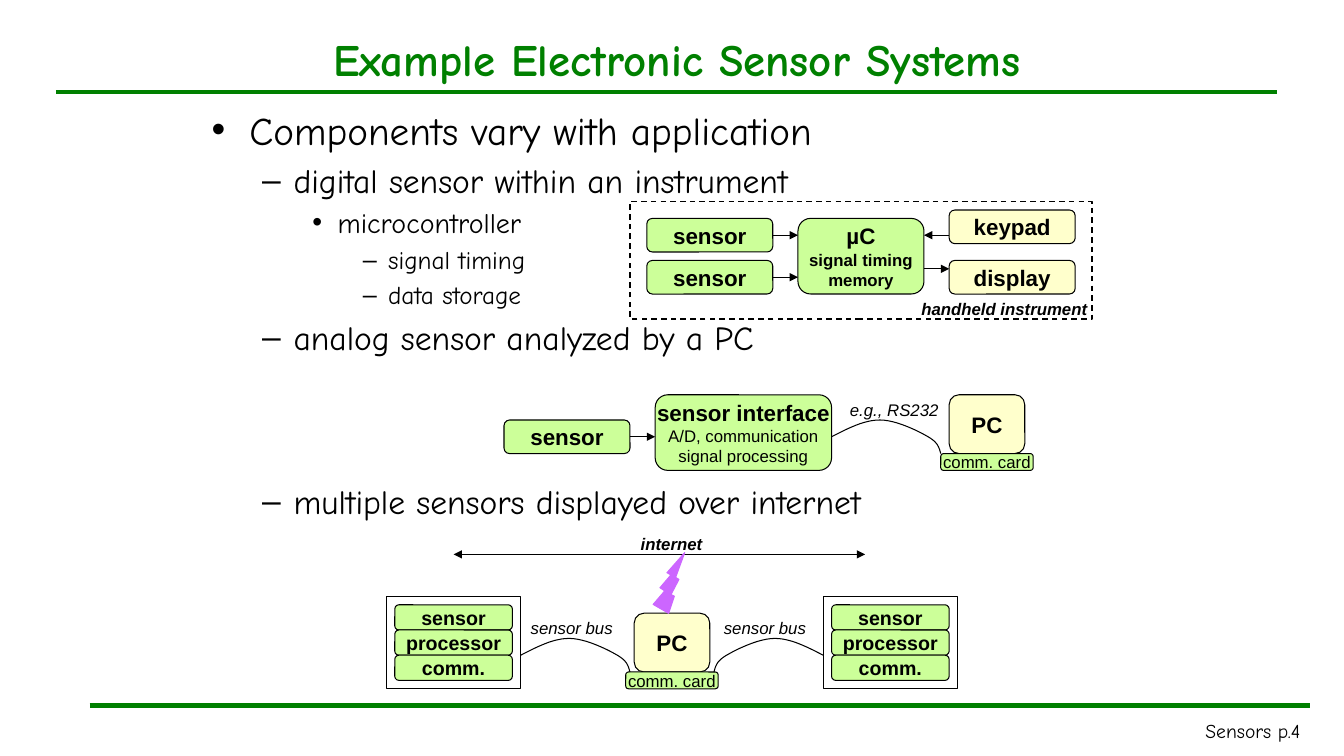
from lxml import etree
from pptx import Presentation
from pptx.dml.color import RGBColor
from pptx.enum.dml import MSO_LINE
from pptx.enum.shapes import MSO_CONNECTOR, MSO_SHAPE as Kind
from pptx.enum.text import MSO_ANCHOR as Anchor, MSO_AUTO_SIZE as Auto, PP_ALIGN as Align
from pptx.oxml.ns import qn
from pptx.util import Cm, Pt

HAND, SANS = "Comic Neue", "Arial"
GREEN, BLACK, LIME, CREAM, VIOLET = "008000", "000000", "CCFF99", "FFFFCC", "CC66FF"

TITLE = "Example Electronic Sensor Systems"
ITEMS = [
    (0, "Components vary with application"),
    (1, "digital sensor within an instrument"),
    (2, "microcontroller"),
    (3, "signal timing"),
    (3, "data storage"),
    (1, "analog sensor analyzed by a PC"),
    (1, "multiple sensors displayed over internet"),
]
SIZES = [28, 24, 20, 18]
GAP = 88.5

SENSOR = [("sensor", 16, True)]
BOXES = {
    "mcu": (95, 26, 15, 9, LIME,
            [("µC", 16, True), ("signal timing", 12, True), ("memory", 12, True)]),
    "keypad": (113, 25, 15, 4, CREAM, [("keypad", 16, True)]),
    "display": (113, 31, 15, 4, CREAM, [("display", 16, True)]),
    "upper": (77, 26, 15, 4, LIME, SENSOR),
    "lower": (77, 31, 15, 4, LIME, SENSOR),
    "analog": (60, 50, 15, 4, LIME, SENSOR),
    "interface": (78, 47, 21, 9, LIME,
                  [("sensor interface", 16, True), ("A/D, communication", 12, False),
                   ("signal processing", 12, False)]),
}
PCS = [(113, 47), (75.5, 73)]
STACKS = [47, 99]
LAYERS = ["sensor", "processor", "comm."]
FRAMES = [(75, 24, 55, 14, True), (46, 71, 16, 11, False), (98, 71, 16, 11, False)]
ARROWS = [
    (92, 28, 95, 28, "upper"),
    (92, 33, 95, 33, "lower"),
    (110, 32, 113, 32, None),
    (113, 28, 110, 28, None),
    (75, 52, 78, 52, "analog"),
]
CABLES = [(99, 50, 1), (62, 76, 1), (98, 76, -1)]
BENDS = [
    [(0, 2), (1.95, 1), (3.87, 0), (5.76, 0)],
    [(5.76, 0), (7.68, 0), (10.3, 1.3), (11.5, 2)],
    [(11.5, 2), (12.7, 2.7), (12.8, 3.3), (13, 4)],
]
LABELS = [
    (108.5, 35, 22.2, "handheld instrument", True),
    (100, 47, 13, "e.g., RS232", False),
    (75.1, 63, 9.7, "internet", True),
    (62, 73, 13, "sensor bus", False),
    (85, 73, 13, "sensor bus", False),
]


def u(n):
    return Cm(n * 2.54 / 12)


def tint(code):
    return RGBColor.from_string(code)


def style(para, name, size, color=BLACK, bold=False, slant=False):
    for run in para.runs:
        font = run.font
        font.name, font.size, font.bold, font.italic = name, Pt(size), bold, slant
        font.color.rgb = tint(color)


def place(shape, x, y, w, h):
    shape.left, shape.top, shape.width, shape.height = u(x), u(y), u(w), u(h)


def draw(kind, x, y, w, h, fill=None, line=BLACK, width=0.75):
    shape = shapes.add_shape(kind, u(x), u(y), u(w), u(h))
    shape.shadow.inherit = False
    if fill:
        shape.fill.solid()
        shape.fill.fore_color.rgb = tint(fill)
    else:
        shape.fill.background()
    shape.line.color.rgb = tint(line)
    shape.line.width = Pt(width)
    return shape


def box(x, y, w, h, fill, lines):
    shape = draw(Kind.ROUNDED_RECTANGLE, x, y, w, h, fill)
    frame = shape.text_frame
    frame.margin_left = frame.margin_right = frame.margin_top = frame.margin_bottom = 0
    frame.word_wrap = False
    frame.vertical_anchor = Anchor.MIDDLE
    frame.text = "\n".join(text for text, _, _ in lines)
    for para, (_, size, bold) in zip(frame.paragraphs, lines):
        para.alignment = Align.CENTER
        style(para, SANS, size, bold=bold)
    return shape


def rule(x1, y1, x2, y2, color=BLACK, width=0.75, ends=()):
    line = shapes.add_connector(MSO_CONNECTOR.STRAIGHT, u(x1), u(y1), u(x2), u(y2))
    line.line.color.rgb = tint(color)
    line.line.width = Pt(width)
    for end in ends:
        etree.SubElement(line.line._get_or_add_ln(), qn("a:" + end), type="triangle")
    etree.SubElement(line._element.spPr, qn("a:effectLst"))
    return line


def cable(x, y, way):
    spots = []
    for a, b, c, d in BENDS:
        for step in range(1, 13):
            t = step / 12
            mix = [(1 - t) ** 3, 3 * t * (1 - t) ** 2, 3 * t * t * (1 - t), t ** 3]
            dx, dy = (sum(m * p[i] for m, p in zip(mix, (a, b, c, d))) for i in (0, 1))
            spots.append((u(x + way * dx), u(y + dy)))
    pen = shapes.build_freeform(u(x), u(y + 2))
    pen.add_line_segments(spots, close=False)
    shape = pen.convert_to_shape()
    shape.shadow.inherit = False
    shape.fill.background()
    shape.line.color.rgb = tint(BLACK)
    shape.line.width = Pt(0.75)


def label(x, y, w, h, text):
    shape = shapes.add_textbox(u(x), u(y), u(w), u(h))
    shape.text_frame.text = text
    return shape.text_frame, shape.text_frame.paragraphs[0]


deck = Presentation()
deck.slide_width, deck.slide_height = u(160), u(90)
slide = deck.slides.add_slide(deck.slide_layouts[1])
shapes = slide.shapes

rule(10.67, 84, 156, 84, GREEN, 3)
rule(6.67, 11, 152, 11, GREEN, 3)
foot, para = label(118.67, 85, 37.33, 3, "Sensors p.4")
foot.word_wrap = True
para.alignment = Align.RIGHT
style(para, HAND, 14)

title = shapes.title
place(title, 5.25, 3, 150.75, 8)
title.text_frame.text = TITLE
title.text_frame.vertical_anchor = Anchor.MIDDLE
title.text_frame.auto_size = Auto.NONE
title.text_frame.paragraphs[0].alignment = Align.CENTER
style(title.text_frame.paragraphs[0], HAND, 32, GREEN, True)

body = slide.placeholders[1]
place(body, 24, 12, 88, 71)
frame = body.text_frame
frame.auto_size = Auto.NONE
frame.text = "\n".join(text for _, text in ITEMS)
for para, (level, _) in zip(frame.paragraphs, ITEMS):
    para.level = level
    style(para, HAND, SIZES[level])
frame.paragraphs[0].space_before = Pt(0)
frame.paragraphs[-1].space_before = Pt(GAP)

parts = {name: box(*spot) for name, spot in BOXES.items()}
for x, y in PCS:
    box(x, y, 9, 7, CREAM, [("PC", 16, True)])
    box(x - 1, y + 7, 11, 2, LIME, [("comm. card", 12, False)])
for x in STACKS:
    for row, text in enumerate(LAYERS):
        box(x, 72 + 3 * row, 14, 3, LIME, [(text, 14, True)])
for x, y, w, h, dashed in FRAMES:
    edge = draw(Kind.RECTANGLE, x, y, w, h, width=1 if dashed else 0.75)
    if dashed:
        edge.line.dash_style = MSO_LINE.DASH

for *ends, start in ARROWS:
    arrow = rule(*ends, ends=["tailEnd"])
    if start:
        arrow.begin_connect(parts[start], 3)
rule(54, 66, 103, 66, ends=["headEnd", "tailEnd"])
for spot in CABLES:
    cable(*spot)

bolt = draw(Kind.LIGHTNING_BOLT, 77.5, 66, 4.4, 7, VIOLET, VIOLET)
bolt.rotation = 353.9
bolt._element.spPr.xfrm.set("flipV", "1")

for x, y, w, text, bold in LABELS:
    frame, para = label(x, y, w, 3.6, text)
    frame.word_wrap = False
    frame.auto_size = Auto.SHAPE_TO_FIT_TEXT
    style(para, SANS, 12, bold=bold, slant=True)

deck.save("out.pptx")
